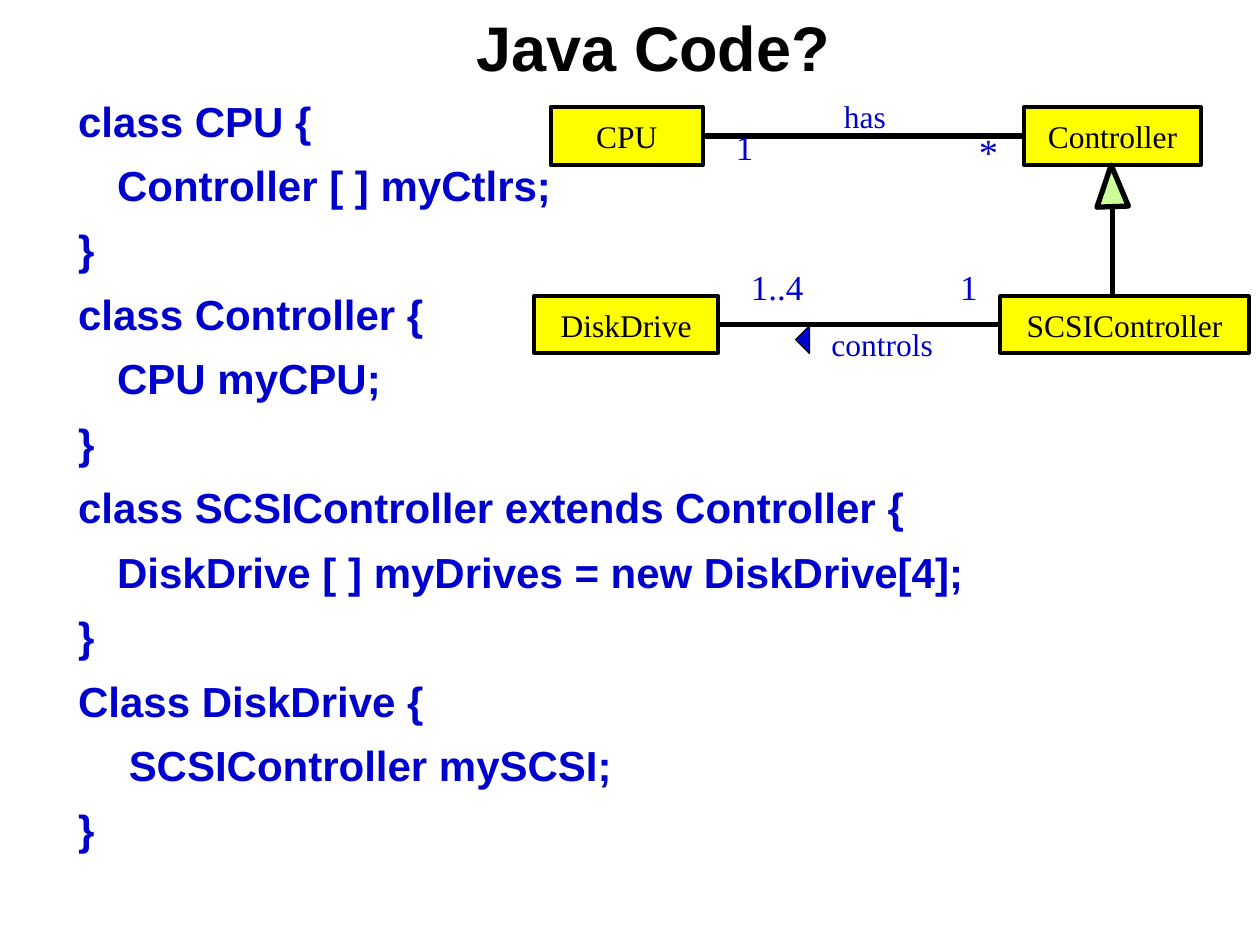
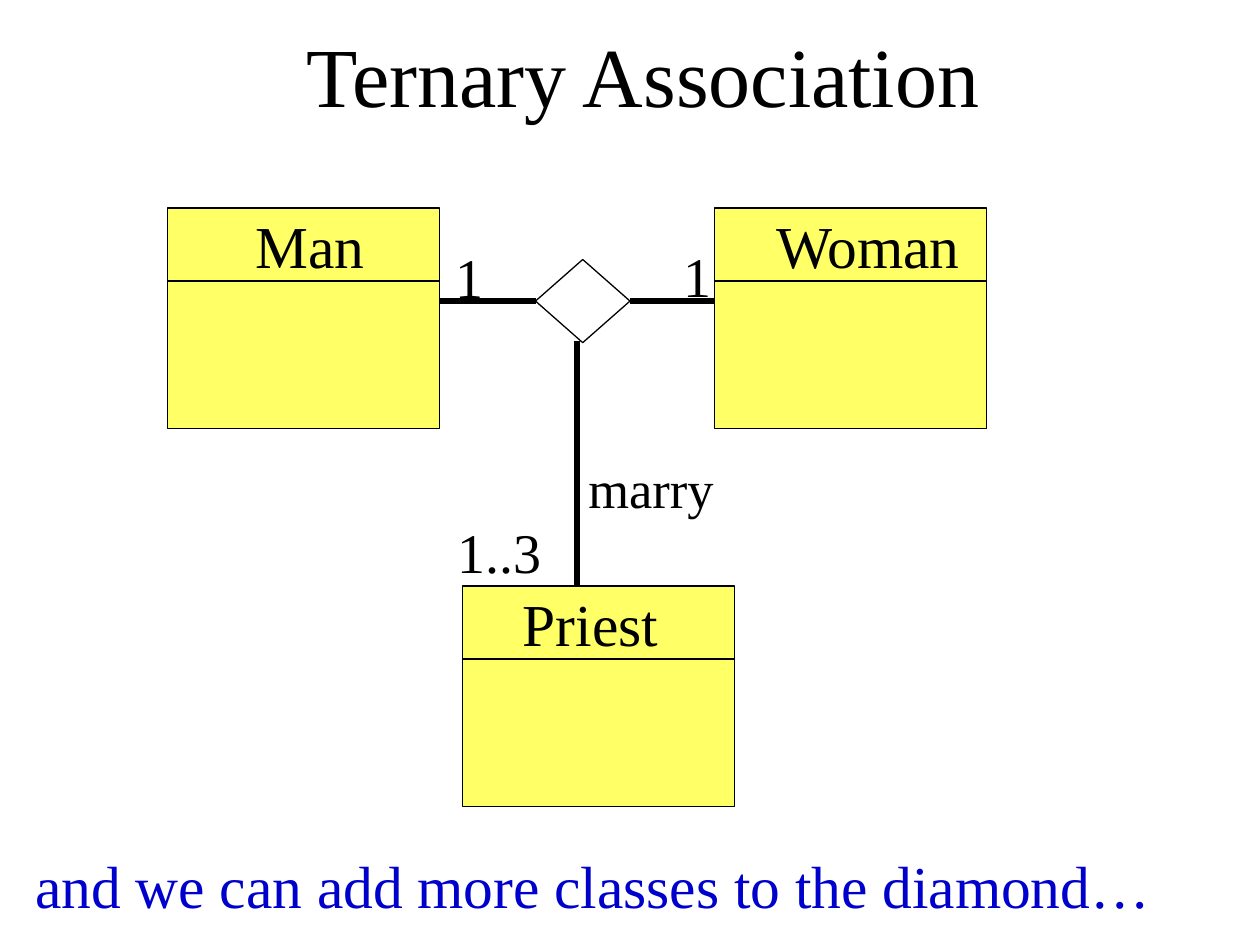
from dataclasses import dataclass

from lxml import etree
from pptx import Presentation
from pptx.dml.color import RGBColor
from pptx.enum.shapes import MSO_CONNECTOR, MSO_SHAPE
from pptx.enum.text import MSO_ANCHOR, MSO_AUTO_SIZE, PP_ALIGN
from pptx.oxml.ns import qn
from pptx.shapes.autoshape import Shape
from pptx.shapes.connector import Connector
from pptx.slide import Slide
from pptx.text.text import TextFrame, _Paragraph
from pptx.util import Emu, Pt

STRAIGHT = MSO_CONNECTOR.STRAIGHT
RECTANGLE, DIAMOND, TRIANGLE = MSO_SHAPE.RECTANGLE, MSO_SHAPE.DIAMOND, MSO_SHAPE.ISOSCELES_TRIANGLE
CENTER, LEFT = PP_ALIGN.CENTER, PP_ALIGN.LEFT
MIDDLE, TOP = MSO_ANCHOR.MIDDLE, MSO_ANCHOR.TOP
NO_AUTOFIT, FIT_SHAPE = MSO_AUTO_SIZE.NONE, MSO_AUTO_SIZE.SHAPE_TO_FIT_TEXT
TITLE_ONLY = 5
LEFT_SIDE, RIGHT_SIDE = 1, 3
EMU_PER_PX = 9144


@dataclass(frozen=True)
class Theme:
    sans: str = "Arial"
    serif: str = "Times New Roman"
    black: str = "000000"
    blue: str = "0000CC"
    yellow: str = "FFFF00"
    pale_yellow: str = "FFFF66"
    green: str = "CCFF99"
    code_title: int = 36
    diagram_title: int = 48
    code: int = 24
    class_name: int = 18
    star: int = 22
    count: int = 20
    heading: int = 34
    verb: int = 30
    big_count: int = 32
    thin: float = 0.75
    border: float = 2.25
    thick: float = 3


THEME = Theme()


@dataclass(frozen=True)
class Box:
    left: int
    top: int
    width: int
    height: int


@dataclass(frozen=True)
class Style:
    size: int
    color: str = THEME.black
    font: str = THEME.serif
    bold: bool = False
    spacing: float = 1.0
    inset_x: int = 0
    inset_y: int = 0


@dataclass(frozen=True)
class Label:
    text: str
    box: Box
    style: Style


@dataclass(frozen=True)
class ClassBox:
    name: str
    box: Box


@dataclass(frozen=True)
class CodeLine:
    text: str
    indented: bool = False


CODE_TITLE = Style(THEME.code_title, font=THEME.sans, bold=True)
DIAGRAM_TITLE = Style(THEME.diagram_title, spacing=0.94)
CODE = Style(THEME.code, THEME.blue, THEME.sans, True, 0.9)
CLASS_NAME = Style(THEME.class_name, inset_x=11, inset_y=6)
COUNT = Style(THEME.count, THEME.blue)
STAR = Style(THEME.star, THEME.blue)
ROLE = Style(THEME.class_name, THEME.blue, inset_x=10, inset_y=5)
HEADING = Style(THEME.heading, inset_x=11, inset_y=6)
REMARK = Style(THEME.heading, THEME.blue, inset_x=11, inset_y=6)
VERB = Style(THEME.verb, inset_x=11, inset_y=6)
BIG_COUNT = Style(THEME.big_count, spacing=0.87, inset_x=10, inset_y=5)

CODE_BOX = Box(0, 80, 926, 635)
CODE_MARGIN, CODE_INDENT = 62, 93
CODE_GAP = 10.9
CODE_LINES = [
    CodeLine("class CPU {"),
    CodeLine("Controller [ ] myCtlrs;", True),
    CodeLine("}"),
    CodeLine("class Controller {"),
    CodeLine("CPU myCPU;", True),
    CodeLine("}"),
    CodeLine("class SCSIController extends Controller {"),
    CodeLine("DiskDrive [ ] myDrives = new DiskDrive[4];", True),
    CodeLine("}"),
    CodeLine("Class DiskDrive {"),
    CodeLine(" SCSIController mySCSI;", True),
    CodeLine("}"),
]
HARDWARE = [
    ClassBox("CPU", Box(437, 85, 121, 46)),
    ClassBox("Controller", Box(813, 85, 140, 46)),
    ClassBox("SCSIController", Box(794, 235, 197, 45)),
    ClassBox("DiskDrive", Box(424, 235, 146, 45)),
]
HARDWARE_LABELS = [
    Label("1", Box(584, 100, 14, 33), COUNT),
    Label("*", Box(777, 102, 16, 37), STAR),
    Label("1..4", Box(596, 211, 43, 33), COUNT),
    Label("1", Box(762, 211, 14, 33), COUNT),
    Label("controls", Box(650, 253, 102, 40), ROLE),
    Label("has", Box(660, 72, 54, 40), ROLE),
]
COMPARTMENT_WIDTH, COMPARTMENT_HEIGHT, DIVIDER_DROP = 216, 175, 58
COMPARTMENTS = [(133, 165), (367, 465), (567, 165)]
WEDDING_LABELS = [
    Label("Man", Box(192, 160, 109, 68), HEADING),
    Label("Woman", Box(605, 160, 171, 68), HEADING),
    Label("Priest", Box(404, 460, 130, 68), HEADING),
    Label("marry", Box(456, 356, 122, 61), VERB),
    Label("1", Box(352, 195, 44, 57), BIG_COUNT),
    Label("1", Box(533, 194, 44, 57), BIG_COUNT),
    Label("1..3", Box(353, 413, 90, 57), BIG_COUNT),
    Label("and we can add more classes to the diamond…", Box(17, 668, 908, 68), REMARK),
]


def px(value: int) -> Emu:
    return Emu(value * EMU_PER_PX)


def bounds(box: Box) -> tuple[Emu, Emu, Emu, Emu]:
    return px(box.left), px(box.top), px(box.width), px(box.height)


def rgb(color: str) -> RGBColor:
    return RGBColor.from_string(color)


def add_run(p: _Paragraph, text: str, style: Style) -> None:
    r = p.add_run()
    r.text = text
    r.font.name = style.font
    r.font.size = Pt(style.size)
    r.font.bold = style.bold
    r.font.color.rgb = rgb(style.color)


def set_frame(tf: TextFrame, style: Style, anchor: MSO_ANCHOR, wrap: bool) -> None:
    tf.margin_left = tf.margin_right = px(style.inset_x)
    tf.margin_top = tf.margin_bottom = px(style.inset_y)
    tf.vertical_anchor = anchor
    tf.word_wrap = wrap


def write_line(tf: TextFrame, text: str, style: Style, align: PP_ALIGN) -> None:
    p = tf.paragraphs[0]
    p.alignment = align
    p.line_spacing = style.spacing
    add_run(p, text, style)


def add_title_slide(prs: Presentation, title: str, box: Box, style: Style) -> Slide:
    s = prs.slides.add_slide(prs.slide_layouts[TITLE_ONLY])
    sp = s.shapes.title
    sp.left, sp.top, sp.width, sp.height = bounds(box)
    set_frame(sp.text_frame, style, MIDDLE, True)
    sp.text_frame.auto_size = NO_AUTOFIT
    write_line(sp.text_frame, title, style, CENTER)
    return s


def add_figure(s: Slide, kind: MSO_SHAPE, box: Box, fill: str | None,
               line: float, rotation: int = 0) -> Shape:
    sp = s.shapes.add_shape(kind, *bounds(box))
    sp.shadow.inherit = False
    sp.rotation = rotation
    if fill is None:
        sp.fill.background()
    else:
        sp.fill.solid()
        sp.fill.fore_color.rgb = rgb(fill)
    sp.line.color.rgb = rgb(THEME.black)
    sp.line.width = Pt(line)
    return sp


def add_class(s: Slide, item: ClassBox) -> Shape:
    sp = add_figure(s, RECTANGLE, item.box, THEME.yellow, THEME.border)
    set_frame(sp.text_frame, CLASS_NAME, MIDDLE, False)
    write_line(sp.text_frame, item.name, CLASS_NAME, CENTER)
    return sp


def add_label(s: Slide, label: Label) -> None:
    tf = s.shapes.add_textbox(*bounds(label.box)).text_frame
    set_frame(tf, label.style, TOP, False)
    tf.auto_size = FIT_SHAPE
    write_line(tf, label.text, label.style, LEFT)


def add_line(s: Slide, start: tuple[int, int], end: tuple[int, int], width: float) -> Connector:
    line = s.shapes.add_connector(STRAIGHT, *map(px, start + end))
    line.line.color.rgb = rgb(THEME.black)
    line.line.width = Pt(width)
    etree.SubElement(line._element.spPr, qn("a:effectLst"))
    return line


def join_sides(s: Slide, left: Shape, right: Shape) -> None:
    line = add_line(s, (0, 0), (0, 0), THEME.thick)
    line.begin_connect(left, RIGHT_SIDE)
    line.end_connect(right, LEFT_SIDE)


def add_code(s: Slide) -> None:
    tf = s.shapes.add_textbox(*bounds(CODE_BOX)).text_frame
    set_frame(tf, CODE, TOP, True)
    for i, line in enumerate(CODE_LINES):
        p = tf.add_paragraph() if i else tf.paragraphs[0]
        margin = CODE_INDENT if line.indented else CODE_MARGIN
        p._p.get_or_add_pPr().set("marL", str(px(margin)))
        p.line_spacing = CODE.spacing
        p.space_after = Pt(CODE_GAP)
        add_run(p, line.text, CODE)


def build_code_slide(prs: Presentation) -> None:
    s = add_title_slide(prs, "Java Code?", Box(92, -26, 853, 125), CODE_TITLE)
    add_code(s)
    cpu, controller, scsi, drive = [add_class(s, item) for item in HARDWARE]
    add_figure(s, TRIANGLE, Box(870, 131, 25, 33), THEME.green, THEME.thick, 358)
    add_line(s, (883, 165), (883, 235), THEME.thick)
    join_sides(s, cpu, controller)
    join_sides(s, drive, scsi)
    add_figure(s, TRIANGLE, Box(626, 264, 22, 11), THEME.blue, THEME.thin, 270)
    for label in HARDWARE_LABELS:
        add_label(s, label)


def build_ternary_slide(prs: Presentation) -> None:
    s = add_title_slide(prs, "Ternary Association", Box(84, 0, 853, 125), DIAGRAM_TITLE)
    for left, top in COMPARTMENTS:
        box = Box(left, top, COMPARTMENT_WIDTH, COMPARTMENT_HEIGHT)
        add_figure(s, RECTANGLE, box, THEME.pale_yellow, THEME.thin)
        divider = top + DIVIDER_DROP
        add_line(s, (left, divider), (left + COMPARTMENT_WIDTH, divider), THEME.thin)
    diamond = add_figure(s, DIAMOND, Box(425, 206, 75, 66), None, THEME.thin)
    for side, class_edge in ((LEFT_SIDE, 349), (RIGHT_SIDE, 567)):
        add_line(s, (425, 239), (class_edge, 239), THEME.thick).begin_connect(diamond, side)
    add_line(s, (458, 271), (458, 465), THEME.thick)
    for label in WEDDING_LABELS:
        add_label(s, label)


def main() -> None:
    prs = Presentation()
    prs.slide_width, prs.slide_height = px(1000), px(750)
    build_code_slide(prs)
    build_ternary_slide(prs)
    prs.save("out.pptx")


if __name__ == "__main__":
    main()
